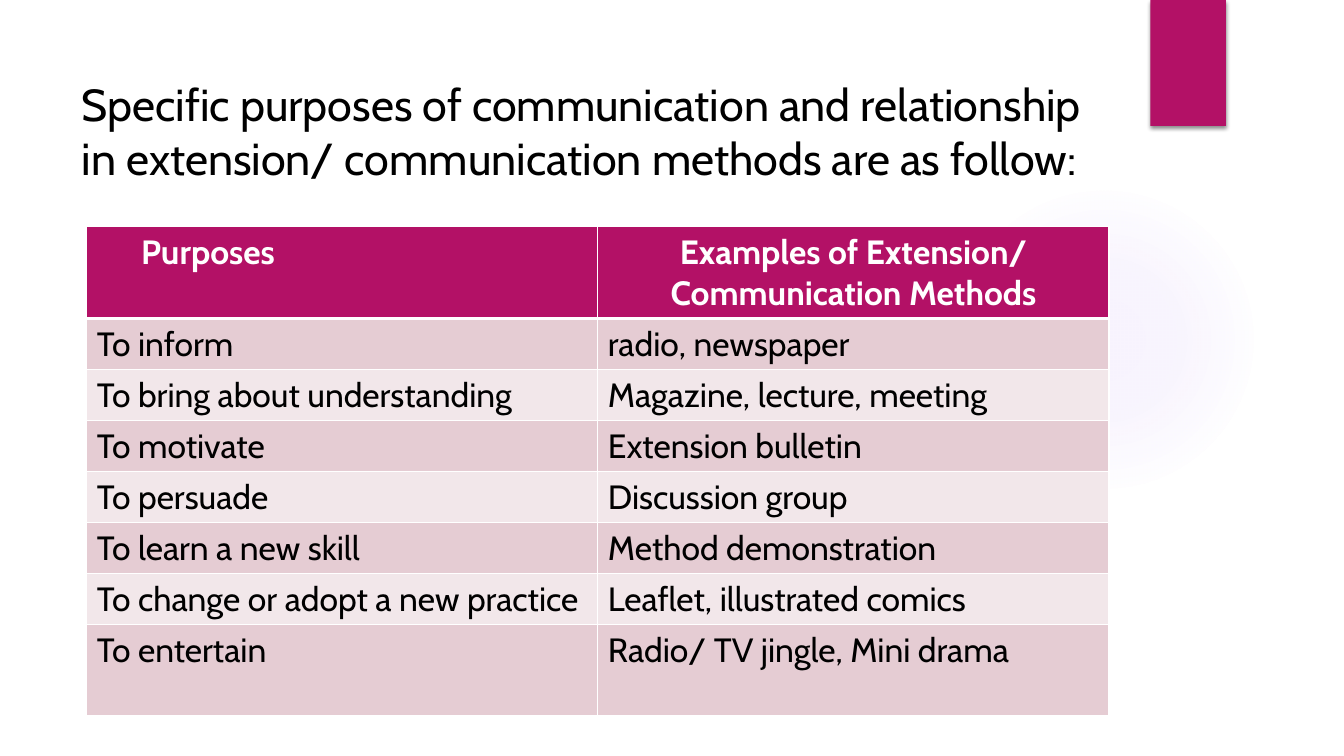
"""Build the slide that pairs communication purposes with extension methods."""
from dataclasses import dataclass

from lxml import etree
from pptx import Presentation
from pptx import util as u
from pptx.dml.color import RGBColor
from pptx.enum import shapes, text
from pptx.oxml import parse_xml

TITLE = ("Specific purposes of communication and relationship in extension/ "
         "communication methods are as follow:")
HEADER = ("Purposes", "Examples of Extension/ Communication Methods")
ROWS = [
    ("To inform", "radio, newspaper"),
    ("To bring about understanding", "Magazine, lecture, meeting"),
    ("To motivate", "Extension bulletin"),
    ("To persuade", "Discussion group"),
    ("To learn a new skill", "Method demonstration"),
    ("To change or adopt a new practice", "Leaflet, illustrated comics"),
    ("To entertain", "Radio/ TV jingle, Mini drama"),
]


@dataclass(frozen=True)
class Theme:
    font: str = "Cabin"
    title_size: int = 32
    table_size: int = 24
    ink: str = "000000"
    paper: str = "FFFFFF"
    accent: str = "B31166"
    bands: tuple = ("E5CCD3", "F2E7EA")
    glow: str = "9B6BF2"
    glow_stops: tuple = ((0, 7), (36, 6), (69, 0))


T = Theme()
NS = "http://schemas.openxmlformats.org/drawingml/2006/main"
WIDTH, HEIGHT = 13.33, 7.5
TITLE_BOX = (0.71, 0.71, 10.29, 1.53)
GLOW_BOX = (9.41, 1.83, 3.08, 3.08)
TAB_BOX = (11.41, 0, 0.75, HEIGHT / 6)
TABLE_LEFT, TABLE_TOP, COL_WIDTH = 0.86, 2.25, 5.07
TALL_ROW, ROW_HEIGHT = 0.9, 0.506
HEADER_INDENT = 0.54


def inches(box):
    return [u.Inches(v) for v in box]


def write(tf, words, size, color, bold=False, align=text.PP_ALIGN.LEFT):
    p = tf.paragraphs[0]
    p.alignment = align
    r = p.add_run()
    r.text = words
    r.font.name, r.font.size, r.font.bold = T.font, u.Pt(size), bold
    r.font.color.rgb = RGBColor.from_string(color)


def add_backdrop(s, kind, box):
    sp = s.shapes.add_shape(kind, *inches(box))
    sp.shadow.inherit = False
    sp.line.fill.background()
    s.shapes.title._element.addprevious(sp._element)
    return sp


def add_glow(s):
    sp = add_backdrop(s, shapes.MSO_SHAPE.OVAL, GLOW_BOX)
    stops = "".join(
        f'<a:gs pos="{pos * 1000}"><a:srgbClr val="{T.glow}">'
        f'<a:alpha val="{alpha * 1000}"/></a:srgbClr></a:gs>'
        for pos, alpha in T.glow_stops)
    grad = parse_xml(
        f'<a:gradFill xmlns:a="{NS}"><a:gsLst>{stops}</a:gsLst><a:path path="circle">'
        '<a:fillToRect l="50000" t="50000" r="50000" b="50000"/></a:path></a:gradFill>')
    sp._element.spPr.find(f"{{{NS}}}prstGeom").addnext(grad)


def add_corner_tab(s):
    sp = add_backdrop(s, shapes.MSO_SHAPE.RECTANGLE, TAB_BOX)
    sp.fill.solid()
    sp.fill.fore_color.rgb = RGBColor.from_string(T.accent)
    sp._element.spPr.find(f"{{{NS}}}effectLst").append(parse_xml(
        f'<a:outerShdw xmlns:a="{NS}" blurRad="{u.Pt(3)}" dist="{u.Pt(2)}" dir="5400000" '
        f'rotWithShape="0"><a:srgbClr val="{T.ink}"><a:alpha val="45000"/></a:srgbClr>'
        '</a:outerShdw>'))


def style_cell(cell, fill, top=1, bottom=1):
    tc_pr = cell._tc.get_or_add_tcPr()
    for side, width in zip("LRTB", (1, 1, top, bottom)):
        ln = etree.SubElement(tc_pr, f"{{{NS}}}ln{side}", w=str(u.Pt(width)))
        solid = etree.SubElement(ln, f"{{{NS}}}solidFill")
        etree.SubElement(solid, f"{{{NS}}}srgbClr", val=T.paper)
    cell.fill.solid()
    cell.fill.fore_color.rgb = RGBColor.from_string(fill)


def add_purposes(s):
    heights = [TALL_ROW] + [ROW_HEIGHT] * (len(ROWS) - 1) + [TALL_ROW]
    box = (TABLE_LEFT, TABLE_TOP, COL_WIDTH * len(HEADER), sum(heights))
    table = s.shapes.add_table(len(heights), len(HEADER), *inches(box)).table
    for row, height in zip(table.rows, heights):
        row.height = u.Inches(height)
    for col in table.columns:
        col.width = u.Inches(COL_WIDTH)
    aligns = (text.PP_ALIGN.LEFT, text.PP_ALIGN.CENTER)
    for c, (words, align) in enumerate(zip(HEADER, aligns)):
        cell = table.cell(0, c)
        style_cell(cell, T.accent, bottom=3)
        write(cell.text_frame, words, T.table_size, T.paper, True, align)
    table.cell(0, 0).margin_left = u.Inches(HEADER_INDENT)
    for i, row in enumerate(ROWS):
        for c, words in enumerate(row):
            cell = table.cell(i + 1, c)
            style_cell(cell, T.bands[i % 2], top=1 if i else 3)
            write(cell.text_frame, words, T.table_size, T.ink)


def main():
    prs = Presentation()
    prs.slide_width, prs.slide_height = inches((WIDTH, HEIGHT))
    s = prs.slides.add_slide(prs.slide_layouts[5])
    title = s.shapes.title
    title.left, title.top, title.width, title.height = inches(TITLE_BOX)
    tf = title.text_frame
    tf.word_wrap, tf.auto_size = True, text.MSO_AUTO_SIZE.NONE
    tf.vertical_anchor = text.MSO_ANCHOR.TOP
    write(tf, TITLE, T.title_size, T.ink)
    add_glow(s)
    add_corner_tab(s)
    add_purposes(s)
    prs.save("out.pptx")


if __name__ == "__main__":
    main()
